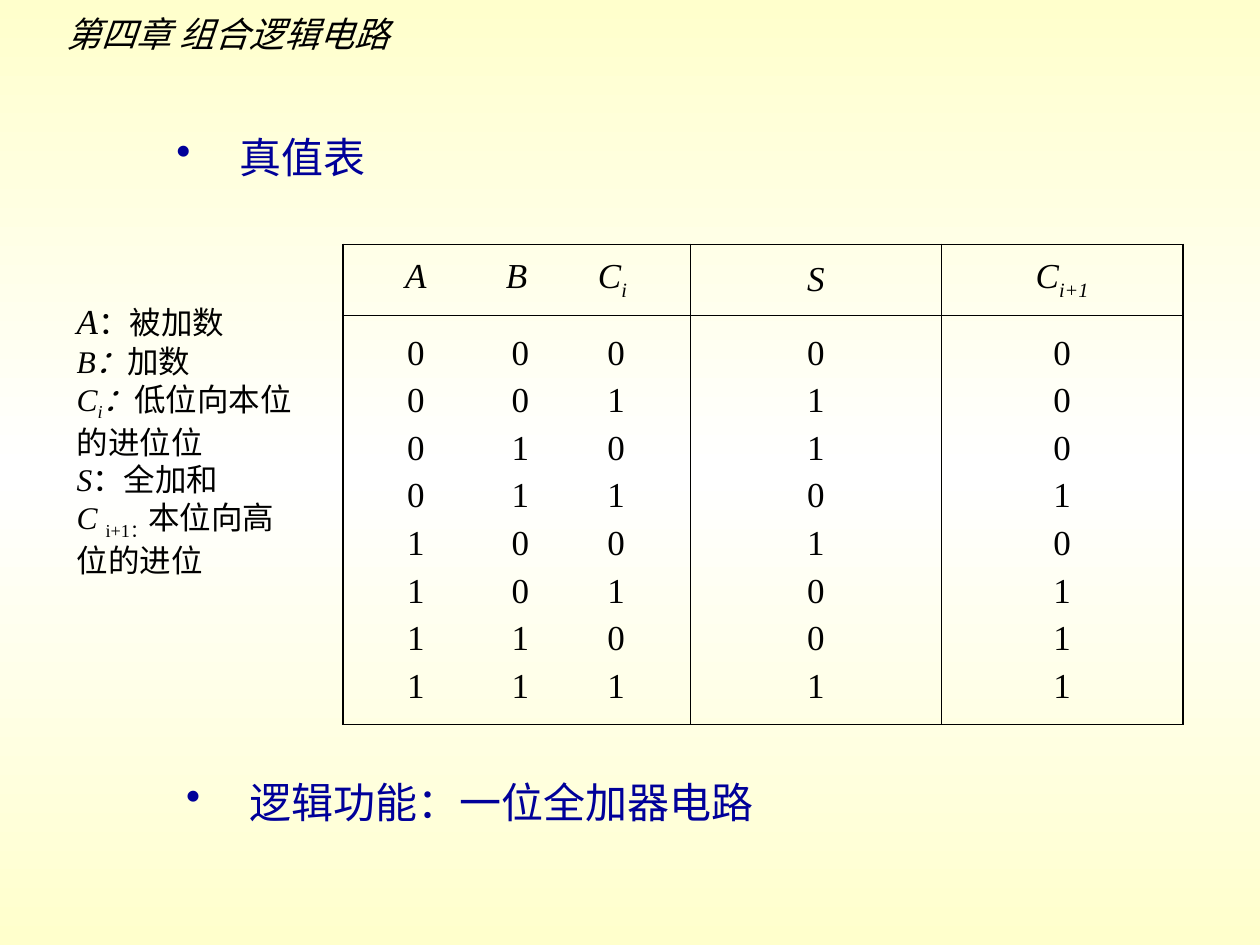
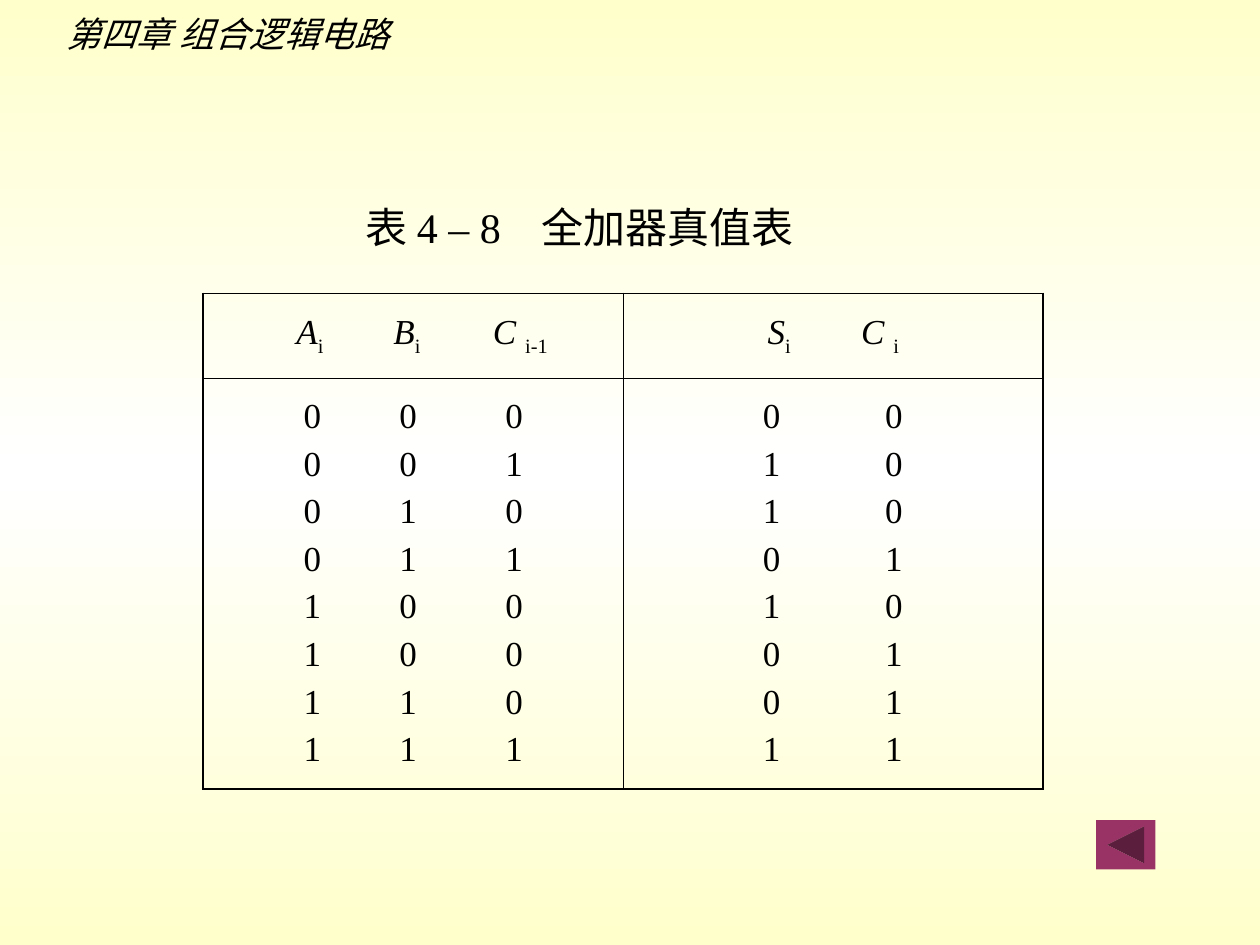
from copy import deepcopy
from dataclasses import dataclass

from lxml import etree
from pptx import Presentation
from pptx.dml.color import RGBColor
from pptx.enum.shapes import MSO_SHAPE
from pptx.enum.text import MSO_ANCHOR, MSO_AUTO_SIZE, PP_ALIGN
from pptx.oxml.ns import qn
from pptx.util import Inches, Pt

LEFT, CENTER, JUSTIFY = PP_ALIGN.LEFT, PP_ALIGN.CENTER, PP_ALIGN.JUSTIFY
TOP, MIDDLE = MSO_ANCHOR.TOP, MSO_ANCHOR.MIDDLE
FIXED_SIZE = MSO_AUTO_SIZE.NONE
BACK_BUTTON = MSO_SHAPE.ACTION_BUTTON_BACK_OR_PREVIOUS

WIDTH, HEIGHT = Inches(10), Inches(7.5)
COLUMNS, ROWS = 100, 75
TITLE_ONLY = 5


@dataclass(frozen=True)
class Theme:
    ink: str = "000000"
    accent: str = "000099"
    button: str = "993366"
    edge: str = "FFFFCC"
    middle: str = "FFFFFF"
    latin: str = "Times New Roman"
    chinese: str = "Noto Sans CJK SC"
    heading: float = 24
    body: float = 20
    note: float = 18
    row_gap: float = 5
    outer_rule: float = 1.08
    inner_rule: float = 0.45


THEME = Theme()


@dataclass(frozen=True)
class Box:
    column: float
    row: float
    columns: float
    rows: float

    def emu(self) -> tuple[int, int, int, int]:
        return across(self.column), down(self.row), across(self.columns), down(self.rows)


@dataclass(frozen=True)
class Run:
    text: str
    italic: bool = False
    sub: bool = False
    size: float | None = None


Line = list[Run]


@dataclass(frozen=True)
class Group:
    columns: float
    labels: list[Line]
    values: list[str]
    label_tabs: tuple[float, ...] = ()
    value_tabs: tuple[float, ...] = ()


CHAPTER = "第四章 组合逻辑电路"
CHAPTER_BOX = Box(4.3, 0.5, 28.3, 4.4)
INPUTS = "000 001 010 011 100 101 110 111".split()
INPUTS_4_8 = "000 001 010 011 100 100 110 111".split()
SUMS = "0 1 1 0 1 0 0 1".split()
CARRIES = "0 0 0 1 0 1 1 1".split()


def across(columns: float) -> int:
    return round(WIDTH * columns / COLUMNS)


def down(rows: float) -> int:
    return round(HEIGHT * rows / ROWS)


def plain(text: str) -> Line:
    return [Run(text)]


def symbol(letter: str, index: str = "", italic_index: bool = False) -> Line:
    name = [Run(letter, italic=True)]
    return name + [Run(index, italic=italic_index, sub=True)] if index else name


def tabbed(items: list[Line]) -> Line:
    return [run for item in items for run in (Run("\t"), *item)]


def write(frame, lines: list[Line], *, size: float = THEME.body, color: str = THEME.ink,
          latin: str = THEME.latin, align=LEFT, bullet: bool = False,
          tabs: tuple[float, ...] = (), tab_kind: str = "ctr",
          spacing: float = 1.0, gap: float = 0) -> None:
    for number, line in enumerate(lines):
        paragraph = frame.add_paragraph() if number else frame.paragraphs[0]
        properties = paragraph._p.get_or_add_pPr()
        if bullet:
            properties.set("marL", str(across(5)))
            properties.set("indent", str(-across(5)))
            tint = etree.SubElement(properties, qn("a:buClr"))
            etree.SubElement(tint, qn("a:srgbClr"), val=color)
            etree.SubElement(properties, qn("a:buChar"), char="•")
        if tabs:
            stops = etree.SubElement(properties, qn("a:tabLst"))
            for tab in tabs:
                etree.SubElement(stops, qn("a:tab"), pos=str(across(tab)), algn=tab_kind)
        paragraph.alignment = align
        paragraph.line_spacing = spacing
        paragraph.space_before = Pt(gap if number else 0)
        for part in line:
            run = paragraph.add_run()
            run.text = part.text
            run.font.size = Pt(part.size or size)
            run.font.italic = part.italic
            run.font.color.rgb = RGBColor.from_string(color)
            run.font.name = latin
            character = run._r.get_or_add_rPr()
            etree.SubElement(character, qn("a:ea"), typeface=THEME.chinese)
            if part.sub:
                character.set("baseline", "-25000")


def place(shape, box: Box, wrap: bool = True):
    shape.left, shape.top, shape.width, shape.height = box.emu()
    frame = shape.text_frame
    frame.word_wrap = wrap
    frame.auto_size = FIXED_SIZE
    frame.vertical_anchor = TOP
    frame.margin_left = frame.margin_right = across(1)
    frame.margin_top = frame.margin_bottom = down(0.5)
    return frame


def add_text(slide, box: Box, lines: list[Line], wrap: bool = True, **style) -> None:
    write(place(slide.shapes.add_textbox(*box.emu()), box, wrap), lines, **style)


def add_chapter_slide(deck, title: str, title_box: Box, **style):
    slide = deck.slides.add_slide(deck.slide_layouts[TITLE_ONLY])
    write(place(slide.shapes.title, title_box), [plain(title)], size=THEME.heading, **style)
    add_text(slide, CHAPTER_BOX, [[Run(CHAPTER, italic=True)]], wrap=False, latin=THEME.chinese)
    return slide


def rule_cell(cell, outer: dict[str, bool]) -> None:
    properties = cell._tc.get_or_add_tcPr()
    for position, (side, is_outer) in enumerate(outer.items()):
        width = Pt(THEME.outer_rule if is_outer else THEME.inner_rule)
        border = etree.Element(qn(f"a:{side}"), w=str(width))
        fill = etree.SubElement(border, qn("a:solidFill"))
        etree.SubElement(fill, qn("a:srgbClr"), val=THEME.ink)
        properties.insert(position, border)


def add_truth_table(slide, box: Box, header_rows: float, groups: list[Group]) -> None:
    table = slide.shapes.add_table(2, len(groups), *box.emu()).table
    table.first_row = table.horz_banding = False
    table.rows[0].height = down(header_rows)
    table.rows[1].height = down(box.rows - header_rows)
    last = len(groups) - 1
    for index, group in enumerate(groups):
        table.columns[index].width = across(group.columns)
        values = [[plain(digit) for digit in row] for row in group.values]
        sections = (([group.labels], group.label_tabs), (values, group.value_tabs))
        for row, (entries, tabs) in enumerate(sections):
            cell = table.cell(row, index)
            cell.fill.background()
            cell.vertical_anchor = MIDDLE
            lines = [tabbed(entry) if tabs else entry[0] for entry in entries]
            write(cell.text_frame, lines, tabs=tabs, gap=THEME.row_gap,
                  align=LEFT if tabs else CENTER)
            rule_cell(cell, {"lnL": index == 0, "lnR": index == last,
                             "lnT": row == 0, "lnB": row == 1})


def paint_background(master) -> None:
    fill = master.background.fill
    fill.gradient()
    fill.gradient_angle = 90
    stop_list = master.element.find(".//" + qn("a:gsLst"))
    stop_list.append(deepcopy(stop_list[0]))
    shades = ((0, THEME.edge), (0.5, THEME.middle), (1, THEME.edge))
    for stop, (position, color) in zip(fill.gradient_stops, shades):
        stop.position = position
        stop.color.rgb = RGBColor.from_string(color)


def add_full_adder_slide(deck) -> None:
    slide = add_chapter_slide(deck, "真值表", Box(13, 9.9, 39.8, 5),
                              color=THEME.accent, bullet=True)
    add_text(slide, Box(13.8, 60.3, 71.7, 5.8), [plain("逻辑功能：一位全加器电路")],
             size=THEME.heading, color=THEME.accent, bullet=True, align=JUSTIFY, spacing=1.2)
    add_truth_table(slide, Box(27.2, 19.4, 66.7, 38.1), 5.6, [
        Group(27.6, [symbol("A"), symbol("B"), symbol("C", "i", True)], INPUTS,
              (4.8, 12.8, 20.4), (4.8, 13.1, 20.7)),
        Group(19.9, [symbol("S")], SUMS),
        Group(19.2, [symbol("C", "i+1", True)], CARRIES),
    ])
    legend = [
        [Run("A", italic=True, size=THEME.body), Run("：被加数")],
        symbol("B：") + plain("加数"),
        symbol("C", "i", True) + symbol("：") + plain("低位向本位的进位位"),
        symbol("S") + plain("：全加和"),
        symbol("C ", "i+1：") + plain("本位向高位的进位"),
    ]
    add_text(slide, Box(5.1, 23.3, 20.1, 23.2), legend, size=THEME.note)


def add_table_4_8_slide(deck) -> None:
    slide = add_chapter_slide(deck, "表 4 – 8\t全加器真值表", Box(28, 15.5, 36.7, 5),
                              tabs=(14,), tab_kind="l")
    half = 66.7 / 2
    outputs = [total + carry for total, carry in zip(SUMS, CARRIES)]
    add_truth_table(slide, Box(16.1, 23.3, 66.7, 39.3), 6.7, [
        Group(half, [symbol("A", "i"), symbol("B", "i"), symbol("C ", "i-1")], INPUTS_4_8,
              (7.5, 15.2, 24.2), (7.7, 15.3, 23.7)),
        Group(half, [symbol("S", "i"), symbol("C ", "i")], outputs,
              (11.4, 19.4), (10.8, 20.5)),
    ])
    button = slide.shapes.add_shape(BACK_BUTTON, *Box(87, 65.1, 4.7, 3.9).emu())
    button.shadow.inherit = False
    button.fill.solid()
    button.fill.fore_color.rgb = RGBColor.from_string(THEME.button)
    button.line.fill.background()


def main() -> None:
    deck = Presentation()
    deck.slide_width, deck.slide_height = WIDTH, HEIGHT
    paint_background(deck.slide_master)
    add_full_adder_slide(deck)
    add_table_4_8_slide(deck)
    deck.save("out.pptx")


if __name__ == "__main__":
    main()
